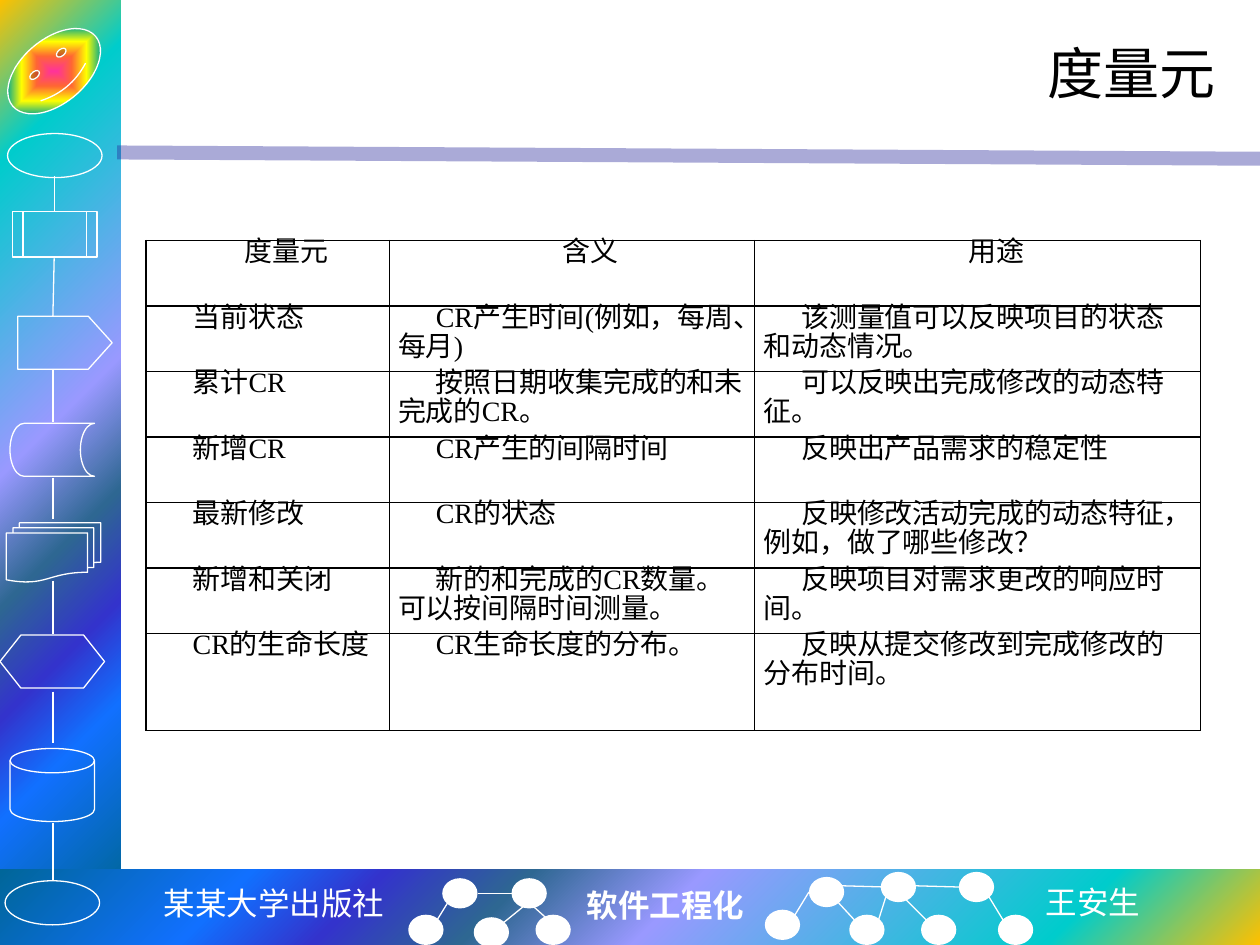
import pptx
import pptx.dml.color
import pptx.enum.shapes
import pptx.enum.text
import pptx.oxml
import pptx.oxml.ns
import pptx.util
from dataclasses import dataclass

Inches, Pt = pptx.util.Inches, pptx.util.Pt
RGB = pptx.dml.color.RGBColor.from_string
KIND = pptx.enum.shapes.MSO_SHAPE
ALIGN = pptx.enum.text.PP_ALIGN
ANCHOR = pptx.enum.text.MSO_ANCHOR
NS = pptx.oxml.ns.nsdecls("a")


@dataclass(frozen=True)
class Theme:
    ink: str = "000000"
    white: str = "FFFFFF"
    rule: str = "262699"
    serif: str = "Times New Roman"
    mono: str = "Courier New"
    cjk: str = "Noto Sans CJK SC"
    title: int = 32
    footer: int = 18
    body: int = 16
    leading: float = 16.6
    thin: float = 0.75
    bands: tuple = ((0, "FFC000"), (16, "00CCCC"), (47, "9999FF"), (60, "2E6792"),
                    (71, "3333CC"), (81, "1170FF"), (100, "006699"))
    badge: tuple = ((0, "FF3399"), (25, "FF6633"), (50, "FFFF00"),
                    (75, "01A78F"), (100, "3366FF"))


T = Theme()

# Content
TITLE = "度量元"
ROWS = [
    ("度量元", "含义", "用途"),
    ("当前状态", "CR产生时间(例如，每周、每月)", "该测量值可以反映项目的状态和动态情况。"),
    ("累计CR", "按照日期收集完成的和未完成的CR。", "可以反映出完成修改的动态特征。"),
    ("新增CR", "CR产生的间隔时间", "反映出产品需求的稳定性"),
    ("最新修改", "CR的状态", "反映修改活动完成的动态特征，例如，做了哪些修改？"),
    ("新增和关闭", "新的和完成的CR数量。可以按间隔时间测量。", "反映项目对需求更改的响应时间。"),
    ("CR的生命长度", "CR生命长度的分布。", "反映从提交修改到完成修改的分布时间。"),
]
COL_WIDTHS = (1.93, 2.9, 3.54)
ROW_HEIGHTS = (0.52,) * 6 + (0.77,)
FOOTERS = [  # text, box, font, bold, alignment
    ("某某大学出版社", (1.19, 6.97, 1.97, 0.4), T.mono, False, ALIGN.CENTER),
    ("软件工程化", (4.56, 6.98, 1.46, 0.4), T.serif, True, ALIGN.LEFT),
    ("王安生", (8.2, 6.96, 0.96, 0.4), T.cjk, False, ALIGN.LEFT),
]
FLOW_SHAPES = [
    (KIND.OVAL, (0.06, 1.06, 0.75, 0.35)),
    (KIND.FLOWCHART_PREDEFINED_PROCESS, (0.1, 1.68, 0.67, 0.36)),
    (KIND.PENTAGON, (0.14, 2.51, 0.75, 0.42)),
    (KIND.FLOWCHART_STORED_DATA, (0.08, 3.36, 0.67, 0.42)),
    (KIND.FLOWCHART_MULTIDOCUMENT, (0.05, 4.15, 0.75, 0.47)),
    (KIND.FLOWCHART_PREPARATION, (0, 5.04, 0.83, 0.42)),
    (KIND.FLOWCHART_MAGNETIC_DISK, (0.08, 5.94, 0.67, 0.58)),
    (KIND.OVAL, (0.04, 6.99, 0.75, 0.35)),
]
FLOW_LINKS = [
    (0.43, 1.4, 0.43, 1.68), (0.43, 2.05, 0.42, 2.51), (0.42, 2.93, 0.42, 3.35),
    (0.42, 3.79, 0.42, 4.12), (0.42, 4.61, 0.42, 5.03), (0.42, 5.49, 0.42, 5.9),
    (0.42, 6.53, 0.42, 6.99),
]
NODES = [
    (3.51, 6.97), (4.06, 6.97), (3.24, 7.26), (3.76, 7.28), (4.25, 7.26),
    (6.42, 6.96), (6.99, 6.92), (7.61, 6.92), (6.07, 7.22), (6.74, 7.26),
    (7.31, 7.26), (7.92, 7.26),
]
NODE_LINKS = [
    (3.47, 7.3, 3.55, 7.17), (4, 7.32, 4.16, 7.19), (4.06, 7.09, 3.79, 7.09),
    (4.34, 7.29, 4.24, 7.2), (6.31, 7.26, 6.42, 7.08), (6.78, 7.3, 6.65, 7.16),
    (6.97, 7.31, 7.03, 7.12), (7.35, 7.3, 7.15, 7.1), (7.96, 7.3, 7.85, 7.12),
    (6.68, 7.03, 7.03, 7.04), (7.26, 7.03, 7.61, 7.04),
]

prs = pptx.Presentation()
prs.slide_width, prs.slide_height = Inches(10), Inches(7.5)
s = prs.slides.add_slide(prs.slide_layouts[5])


def inches(values):
    return [Inches(v) for v in values]


def write(tf, text, size, font=T.serif, color=T.ink, bold=False, align=ALIGN.LEFT):
    p = tf.paragraphs[0]
    p.alignment = align
    r = p.add_run()
    r.text = text
    r.font.size, r.font.name, r.font.bold = Pt(size), font, bold
    r.font.color.rgb = RGB(color)
    r.font._element.append(pptx.oxml.parse_xml(f'<a:ea {NS} typeface="{T.cjk}"/>'))
    return p


def add_shape(kind, box, fill=None, line=None):
    sp = s.shapes.add_shape(kind, *inches(box))
    sp.shadow.inherit = False
    if fill:
        sp.fill.solid()
        sp.fill.fore_color.rgb = RGB(fill)
    else:
        sp.fill.background()
    if line:
        sp.line.color.rgb, sp.line.width = RGB(line), Pt(T.thin)
    else:
        sp.line.fill.background()
    return sp


def add_gradient(sp, stops, shade, focus):
    gs = "".join(f'<a:gs pos="{pos * 1000}"><a:srgbClr val="{c}"/></a:gs>' for pos, c in stops)
    rect = " ".join(f'{side}="{v * 1000}"' for side, v in zip("ltrb", focus))
    grad = pptx.oxml.parse_xml(
        f'<a:gradFill {NS} rotWithShape="1"><a:gsLst>{gs}</a:gsLst>'
        f'<a:path path="{shade}"><a:fillToRect {rect}/></a:path></a:gradFill>')
    props = sp._element.spPr
    props.replace(props.find(pptx.oxml.ns.qn("a:noFill")), grad)


def add_line(ends, color=T.white, width=T.thin, alpha=None):
    cx = s.shapes.add_connector(pptx.enum.shapes.MSO_CONNECTOR.STRAIGHT, *inches(ends))
    cx.line.color.rgb, cx.line.width = RGB(color), Pt(width)
    props = cx._element.spPr
    if alpha:
        clr = next(props.iter(pptx.oxml.ns.qn("a:srgbClr")))
        clr.append(pptx.oxml.parse_xml(f'<a:alpha {NS} val="{alpha * 1000}"/>'))
    props.append(pptx.oxml.parse_xml(f"<a:effectLst {NS}/>"))


# Side and bottom bands, title rule
for box, focus in (((0, 0, 0.96, 7.09), (0, 0, 100, 100)),
                   ((0, 6.9, 10, 0.6), (100, 100, 0, 0))):
    add_gradient(add_shape(KIND.RECTANGLE, box), T.bands, "circle", focus)
add_line((0.93, 1.21, 10, 1.26), T.rule, 8, alpha=39)

# Flowchart column
badge = add_shape(KIND.SMILEY_FACE, (0, 0.31, 0.86, 0.51), line=T.white)
badge.adjustments[0] = 0.047
badge.rotation = -40
add_gradient(badge, T.badge, "shape", (50, 50, 50, 50))
for kind, box in FLOW_SHAPES:
    sp = add_shape(kind, box, line=T.white)
    if kind == KIND.PENTAGON:
        sp.adjustments[0] = 0.45

# Footer networks
for x, y in NODES:
    add_shape(KIND.OVAL, (x, y, 0.28, 0.24), fill=T.white)
for ends in FLOW_LINKS + NODE_LINKS:
    add_line(ends)

# Footer text
for text, box, font, bold, align in FOOTERS:
    tf = s.shapes.add_textbox(*inches(box)).text_frame
    tf.word_wrap = False
    write(tf, text, T.footer, font, T.white, bold, align)

# Title
title = s.shapes.title
title.left, title.top, title.width, title.height = inches((1.25, 0.17, 8.5, 0.81))
title.text_frame.vertical_anchor = ANCHOR.MIDDLE
write(title.text_frame, TITLE, T.title, align=ALIGN.RIGHT)

# Metrics table
table = s.shapes.add_table(len(ROWS), len(COL_WIDTHS), *inches(
    (1.16, 1.91, sum(COL_WIDTHS), sum(ROW_HEIGHTS)))).table
table.first_row = table.horz_banding = False
for col, width in zip(table.columns, COL_WIDTHS):
    col.width = Inches(width)
for i, (row, height) in enumerate(zip(ROWS, ROW_HEIGHTS)):
    table.rows[i].height = Inches(height)
    for j, text in enumerate(row):
        cell = table.cell(i, j)
        cell.margin_left = cell.margin_right = Inches(0.07)
        cell.margin_top = cell.margin_bottom = 0
        cell.vertical_anchor = ANCHOR.TOP
        p = write(cell.text_frame, text, T.body, align=ALIGN.LEFT if i else ALIGN.CENTER)
        p.line_spacing = Pt(T.leading)
        p._p.get_or_add_pPr().set("indent", str(Inches(0.3)))
        props = cell._tc.get_or_add_tcPr()
        for side in "LRTB":
            props.append(pptx.oxml.parse_xml(
                f'<a:ln{side} {NS} w="{Pt(1)}"><a:solidFill><a:srgbClr val="{T.ink}"/>'
                f'</a:solidFill></a:ln{side}>'))
        cell.fill.background()

prs.save("out.pptx")
